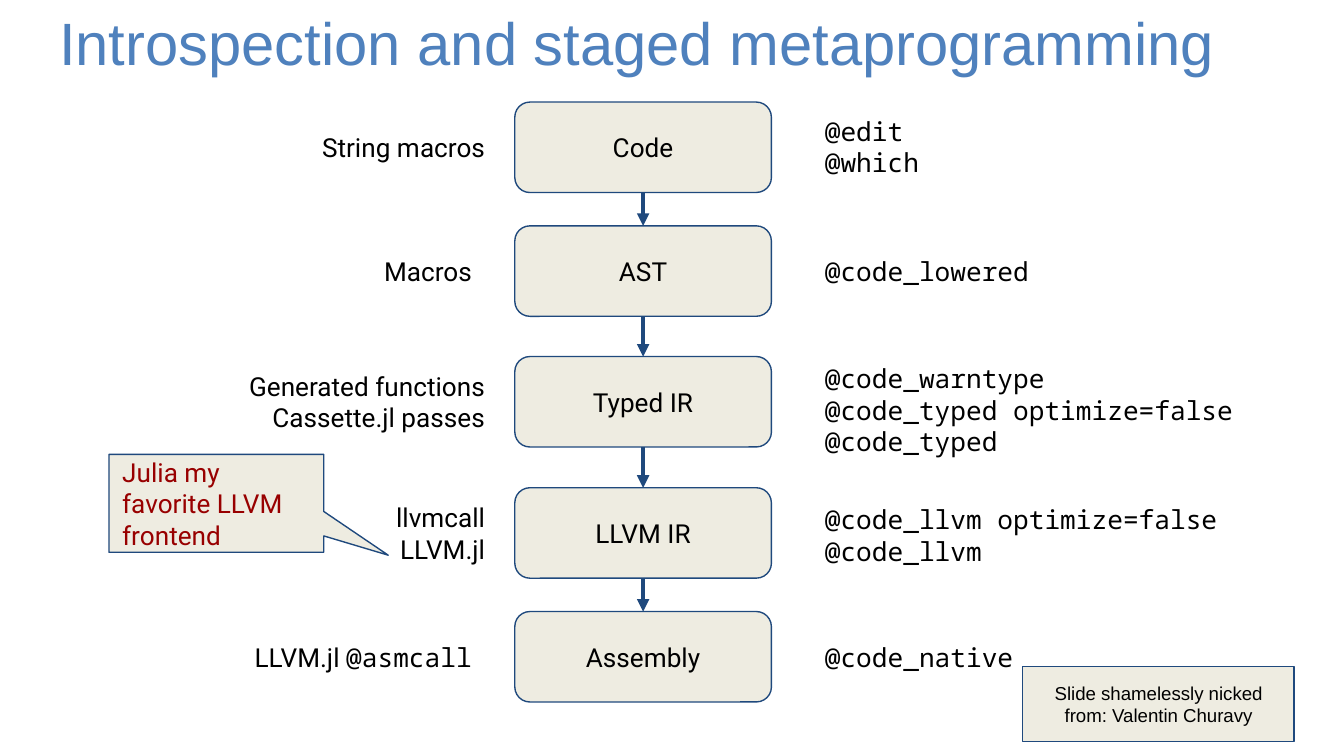
from lxml import etree
from pptx import Presentation
from pptx.dml.color import RGBColor
from pptx.enum.shapes import MSO_CONNECTOR, MSO_SHAPE
from pptx.enum.text import MSO_ANCHOR, PP_ALIGN
from pptx.oxml.ns import qn
from pptx.util import Cm, Pt

STRAIGHT = MSO_CONNECTOR.STRAIGHT
RECT = MSO_SHAPE.RECTANGLE
ROUNDED = MSO_SHAPE.ROUNDED_RECTANGLE
CALLOUT = MSO_SHAPE.ROUNDED_RECTANGULAR_CALLOUT
TOP, MIDDLE = MSO_ANCHOR.TOP, MSO_ANCHOR.MIDDLE
LEFT, CENTER, RIGHT = PP_ALIGN.LEFT, PP_ALIGN.CENTER, PP_ALIGN.RIGHT
BOTTOM_SIDE, TOP_SIDE = 2, 0

COLORS = {"title": "4F81BD", "line": "1F497D", "fill": "EEECE1",
          "text": "000000", "accent": "980000"}
SANS, BODY, MONO = "Arial", "Roboto", "Noto Sans Mono"

STAGE_X, STAGE_W, STAGE_H = 9.73, 4.85, 1.71
HOOK_W, HOOK_RIGHT, HOOK_RIGHT_INSET = 8.84, 9.42, 9.17
CODE_X = 15.34

# stage, top, (hook lines, right edge, height), (macro lines, width, height)
STAGES = [
    ("Code", 1.93, (["String macros"], HOOK_RIGHT, 1.12),
     (["@edit", "@which"], 7.6, 1.71)),
    ("AST", 4.27, (["Macros"], HOOK_RIGHT_INSET, 1.12),
     (["@code_lowered"], 7.6, 1.1)),
    ("Typed IR", 6.74,
     (["Generated functions", "Cassette.jl passes"], HOOK_RIGHT, 1.71),
     (["@code_warntype", "@code_typed optimize=false", "@code_typed"], 8.89, 1.98)),
    ("LLVM IR", 9.22, (["llvmcall", "LLVM.jl"], HOOK_RIGHT, 1.71),
     (["@code_llvm optimize=false", "@code_llvm"], 8.89, 1.6)),
    ("Assembly", 11.56,
     ([[("LLVM.jl ", BODY), ("@asmcall", MONO)]], HOOK_RIGHT_INSET, 1.12),
     (["@code_native"], 8.89, 1.1)),
]


class Deck:
    """Holds the style and the current slide."""

    def __init__(self, width, height):
        self.prs = Presentation()
        self.prs.slide_width, self.prs.slide_height = Cm(width), Cm(height)
        self.slide = self.prs.slides.add_slide(self.prs.slide_layouts[6])

    def color(self, name):
        return RGBColor.from_string(COLORS[name])

    def set_text(self, s, lines, align, anchor=MIDDLE, font=BODY, size=14,
                 color="text", inset=0.25):
        """Fill a shape; a line is a string or a list of (text, font) runs."""
        tf = s.text_frame
        frame = {"word_wrap": True, "vertical_anchor": anchor}
        frame.update({f"margin_{side}": Cm(inset)
                      for side in ("left", "top", "right", "bottom")})
        for name, value in frame.items():
            setattr(tf, name, value)
        for i, line in enumerate(lines):
            p = tf.add_paragraph() if i else tf.paragraphs[0]
            p.alignment = align
            for text, face in [(line, font)] if isinstance(line, str) else line:
                r = p.add_run()
                r.text = text
                for name, value in {"name": face, "size": Pt(size)}.items():
                    setattr(r.font, name, value)
                r.font.color.rgb = self.color(color)

    def label(self, box, lines, align, **style):
        s = self.slide.shapes.add_textbox(*map(Cm, box))
        self.set_text(s, lines, align, **style)

    def box(self, kind, box, text, align=CENTER, adjust=(), **style):
        s = self.slide.shapes.add_shape(kind, *map(Cm, box))
        s.shadow.inherit = False
        s.fill.solid()
        s.fill.fore_color.rgb = self.color("fill")
        s.line.color.rgb = self.color("line")
        s.line.width = Pt(0.75)
        for i, value in enumerate(adjust):
            s.adjustments[i] = value
        self.set_text(s, [text], align, **style)
        return s

    def arrow(self, start, end):
        c = self.slide.shapes.add_connector(STRAIGHT, 0, 0, 0, 0)
        c.begin_connect(start, BOTTOM_SIDE)
        c.end_connect(end, TOP_SIDE)
        c.line.color.rgb = self.color("line")
        c.line.width = Pt(2.25)
        sp_pr = c._element.spPr
        etree.SubElement(sp_pr.find(qn("a:ln")), qn("a:tailEnd"), type="triangle")
        etree.SubElement(sp_pr, qn("a:effectLst"))


def main():
    deck = Deck(25.4, 14.29)
    deck.label((1.12, 0.1, 23, 1.37), ["Introspection and staged metaprogramming"],
               LEFT, font=SANS, size=32, color="title", inset=0)

    previous = None
    for name, top, (hooks, right, hook_h), (macros, macro_w, macro_h) in STAGES:
        middle = top + STAGE_H / 2
        stage = deck.box(ROUNDED, (STAGE_X, top, STAGE_W, STAGE_H), name)
        deck.label((right - HOOK_W, middle - hook_h / 2, HOOK_W, hook_h), hooks, RIGHT)
        deck.label((CODE_X, middle - macro_h / 2, macro_w, macro_h), macros, LEFT,
                   anchor=TOP, font=MONO)
        if previous is not None:
            deck.arrow(previous, stage)
        previous = stage

    deck.box(CALLOUT, (2.06, 8.59, 4.06, 1.85), "Julia my favorite LLVM frontend",
             align=LEFT, adjust=(0.8, 0.53, 0), color="accent")
    deck.box(RECT, (19.33, 12.6, 5.13, 1.42),
             "Slide shamelessly nicked from: Valentin Churavy", font=SANS, size=10)
    deck.prs.save("out.pptx")


if __name__ == "__main__":
    main()
